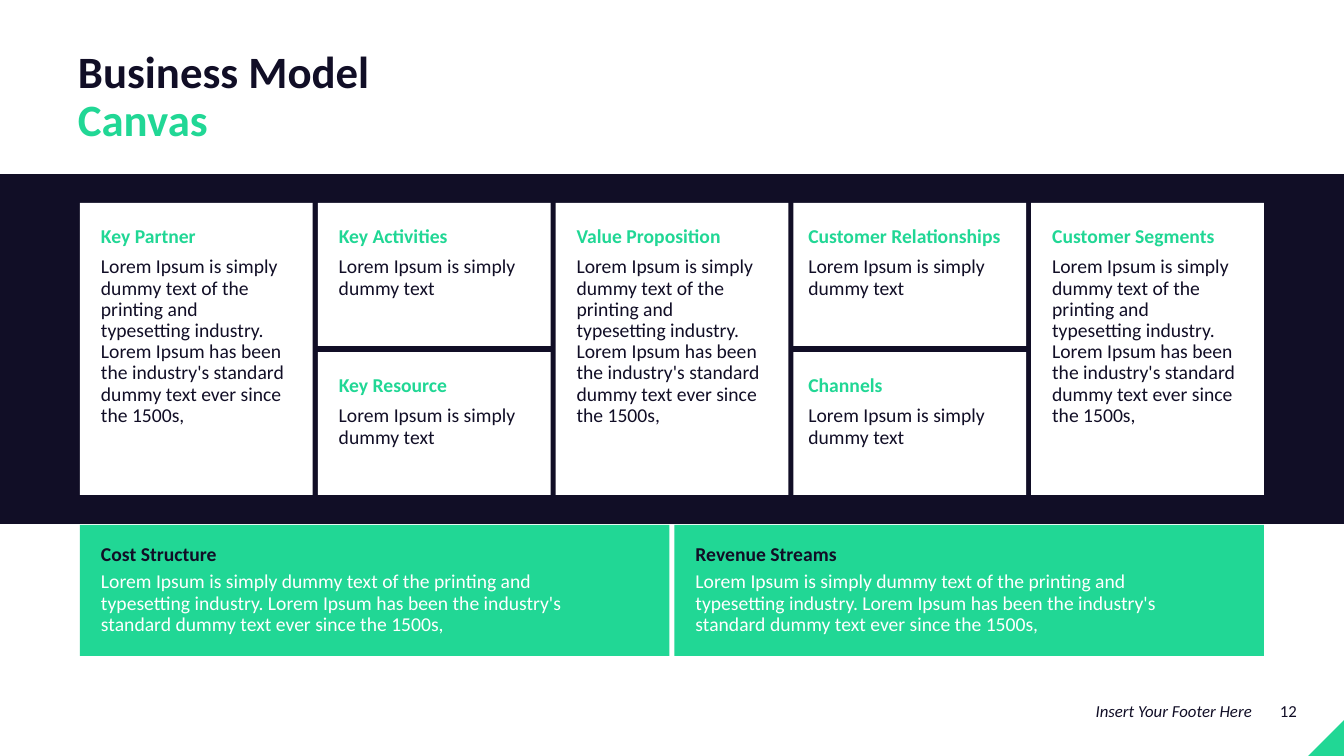
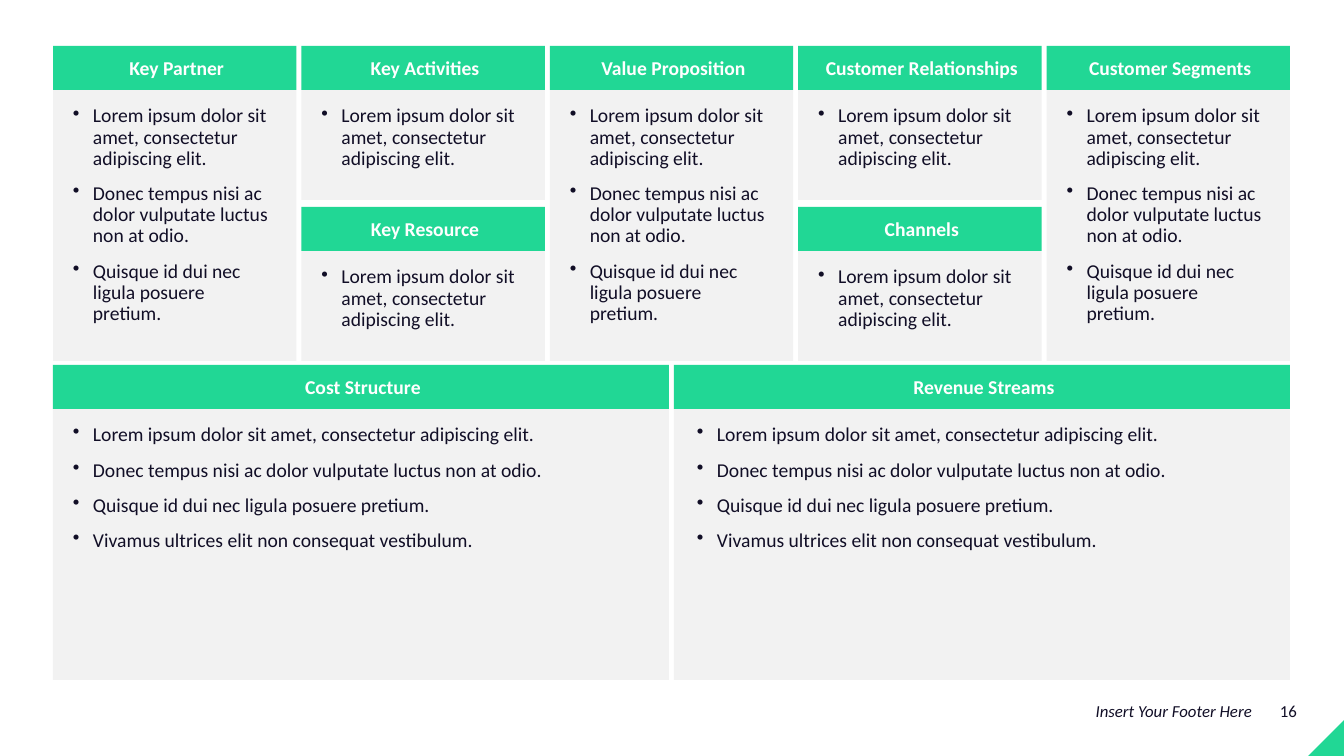
from dataclasses import dataclass

from lxml.etree import SubElement
from pptx import Presentation
from pptx.dml.color import RGBColor as RGB
from pptx.enum.shapes import MSO_SHAPE as SHAPE
from pptx.enum.text import MSO_ANCHOR as ANCHOR, PP_ALIGN as ALIGN
from pptx.oxml.ns import qn
from pptx.util import Pt


@dataclass(frozen=True)
class Theme:
    font: str = "Calibri"
    ink: RGB = RGB(0x11, 0x0E, 0x26)
    green: RGB = RGB(0x21, 0xD7, 0x95)
    white: RGB = RGB(0xFF, 0xFF, 0xFF)
    grey: RGB = RGB(0xF2, 0xF2, 0xF2)
    title: int = 32
    body: int = 14
    small: int = 12


T = Theme()
W, H = 1344, 756
SCALE = 12192000 / W


def px(n):
    return round(n * SCALE)


def add_box(shapes, x, y, w, h, fill=None, kind=SHAPE.RECTANGLE, text=None, color=T.ink, size=T.body,
            bold=False, italic=False, align=ALIGN.LEFT, anchor=ANCHOR.TOP, spacing=0.9, inset=(0, 0, 0, 0),
            bullets=False):
    at = [px(n) for n in (x, y, w, h)]
    if fill is None:
        sp = shapes.add_textbox(*at)
    else:
        sp = shapes.add_shape(kind, *at)
        sp.shadow.inherit = False
        sp.fill.solid()
        sp.fill.fore_color.rgb = fill
        sp.line.fill.background()
    if text is None:
        return sp
    tf = sp.text_frame
    tf.word_wrap = True
    tf.vertical_anchor = anchor
    tf.margin_left, tf.margin_top, tf.margin_right, tf.margin_bottom = [px(n) for n in inset]
    tf.text = text
    for i, p in enumerate(tf.paragraphs):
        if bullets:
            pPr = p._p.get_or_add_pPr()
            pPr.set("marL", str(px(20)))
            pPr.set("indent", str(-px(20)))
            SubElement(pPr, qn("a:buChar"), char="•")
        p.alignment = align
        p.line_spacing = spacing
        p.space_before = Pt(10 if i else 0)
        for r in p.runs:
            f = r.font
            f.name, f.size, f.bold, f.italic = T.font, Pt(size), bold, italic
            f.color.rgb = color
    return sp


COLUMNS = [
    ["Key Partner"],
    ["Key Activities", "Key Resource"],
    ["Value Proposition"],
    ["Customer Relationships", "Channels"],
    ["Customer Segments"],
]
BOTTOM = ["Cost Structure", "Revenue Streams"]
SHORT = "Lorem Ipsum is simply dummy text"
LONG = (SHORT + " of the printing and typesetting industry. Lorem Ipsum has been the industry's "
        "standard dummy text ever since the 1500s,")
BULLETS = [
    "Lorem ipsum dolor sit amet, consectetur adipiscing elit.",
    "Donec tempus nisi ac dolor vulputate luctus non at odio.",
    "Quisque id dui nec ligula posuere pretium.",
    "Vivamus ultrices elit non consequat vestibulum.",
]
GAP = 5

prs = Presentation()
prs.slide_width, prs.slide_height = px(W), px(H)
slides = []
for number in ("12", "16"):
    s = prs.slides.add_slide(prs.slide_layouts[6])
    corner = add_box(s.shapes, W - 36, H - 36, 36, 36, T.green, SHAPE.RIGHT_TRIANGLE)
    corner.rotation = 270
    add_box(s.shapes, 799, 701, 453, 20, text="Insert Your Footer Here", size=T.small, italic=True,
            align=ALIGN.RIGHT, anchor=ANCHOR.MIDDLE, spacing=1.0)
    add_box(s.shapes, 1268, 701, 41, 20, text=number, size=T.small, align=ALIGN.CENTER,
            anchor=ANCHOR.MIDDLE, spacing=1.0)
    slides.append(s)
canvas, tables = slides

add_box(canvas.shapes, 0, 174, W, 350, T.ink)
title = add_box(canvas.shapes, 78, 49, 679, 98, text="Business Model\vCanvas", size=T.title, bold=True,
                anchor=ANCHOR.MIDDLE)
title.text_frame.paragraphs[0].runs[1].font.color.rgb = T.green

left, width, top, full_h, half_h = 80, 1184, 203, 292, 143
col_w = (width - 4 * GAP) / 5
grid = canvas.shapes.add_group_shape().shapes
for i, names in enumerate(COLUMNS):
    x = left + i * (col_w + GAP)
    pad = 15 if "Channels" in names else 21
    single = len(names) == 1
    for j, name in enumerate(names):
        y = top + j * (full_h - half_h)
        add_box(grid, x, y, col_w, full_h if single else half_h, T.white)
        add_box(grid, x + pad, y + 24, col_w - pad, 21, text=name, color=T.green, bold=True)
        add_box(grid, x + pad, y + 54, 190, 171 if single else 43, text=LONG if single else SHORT)

half_w = (width - GAP) / 2
footing = canvas.shapes.add_group_shape().shapes
for i, name in enumerate(BOTTOM):
    x = left + i * (half_w + GAP)
    add_box(footing, x, 525, half_w, 131, T.green)
    add_box(footing, x + 21, 545, 500, 21, text=name, bold=True, anchor=ANCHOR.MIDDLE)
    add_box(footing, x + 21, 572, 500, 64, text=LONG, color=T.white)

left, width, top, head_h, full_h, half_h = 53, 1237, 46, 44, 271, 110
col_w = (width - 4 * GAP) / 5
half_w = (width - GAP) / 2
panels = []
for i, names in enumerate(COLUMNS):
    x = left + i * (col_w + GAP)
    single = len(names) == 1
    for j, name in enumerate(names):
        y = top + j * (full_h - half_h)
        panels.append((name, x, y, col_w, full_h if single else half_h, 20, 204, 3 if single else 1))
for i, name in enumerate(BOTTOM):
    panels.append((name, left + i * (half_w + GAP), 365, half_w, full_h, 20 + 3 * i, 472, 4))

for name, x, y, w, h, pad, text_w, count in panels:
    add_box(tables.shapes, x, y + head_h, w, h, T.grey)
    add_box(tables.shapes, x, y, w, head_h, T.green, text=name, color=T.white, bold=True, align=ALIGN.CENTER,
            anchor=ANCHOR.MIDDLE, spacing=1.0, inset=(12, 5, 8, 5))
    add_box(tables.shapes, x + pad, y + head_h + 16, text_w, h - 32, text="\n".join(BULLETS[:count]),
            bullets=True)

prs.save("out.pptx")
